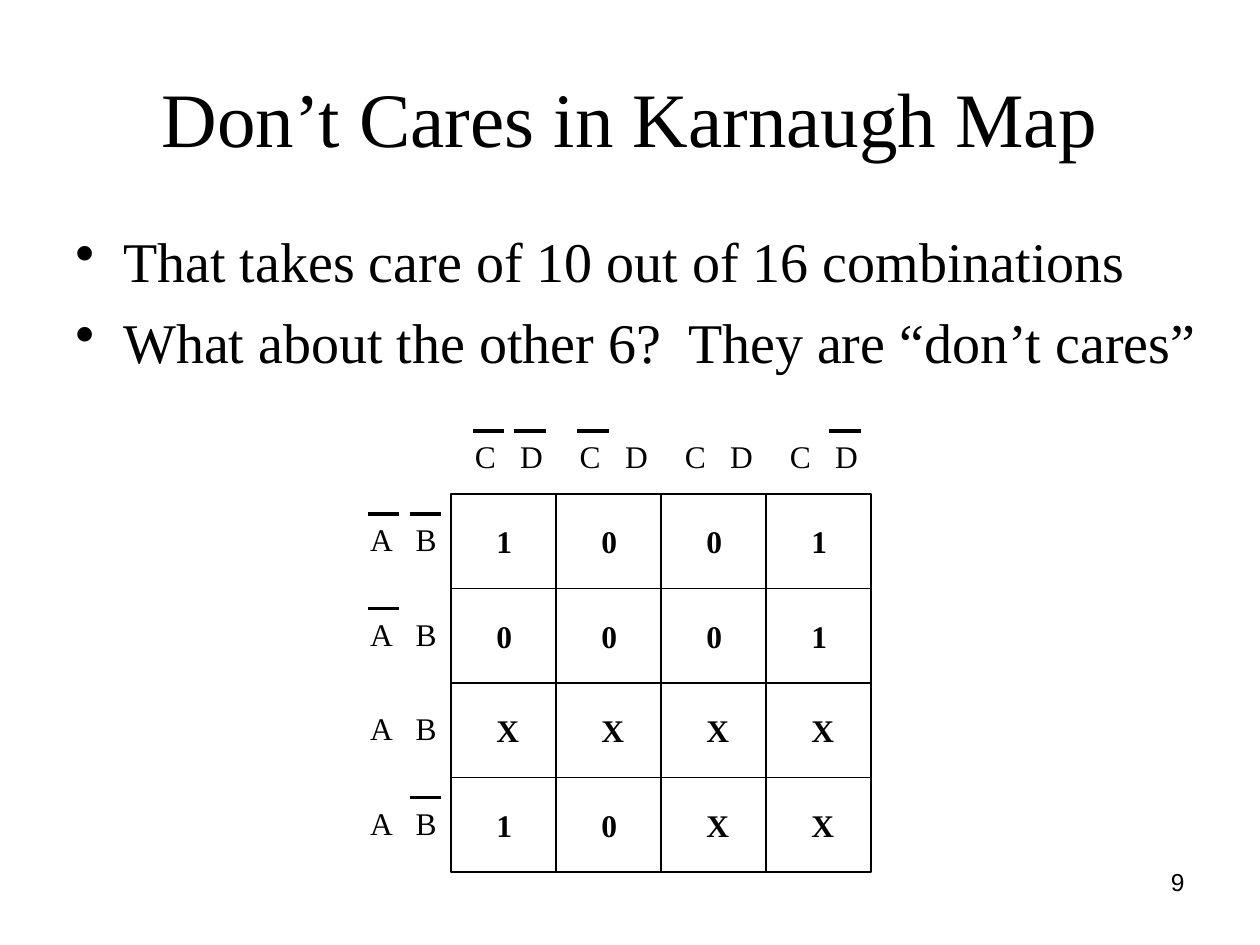
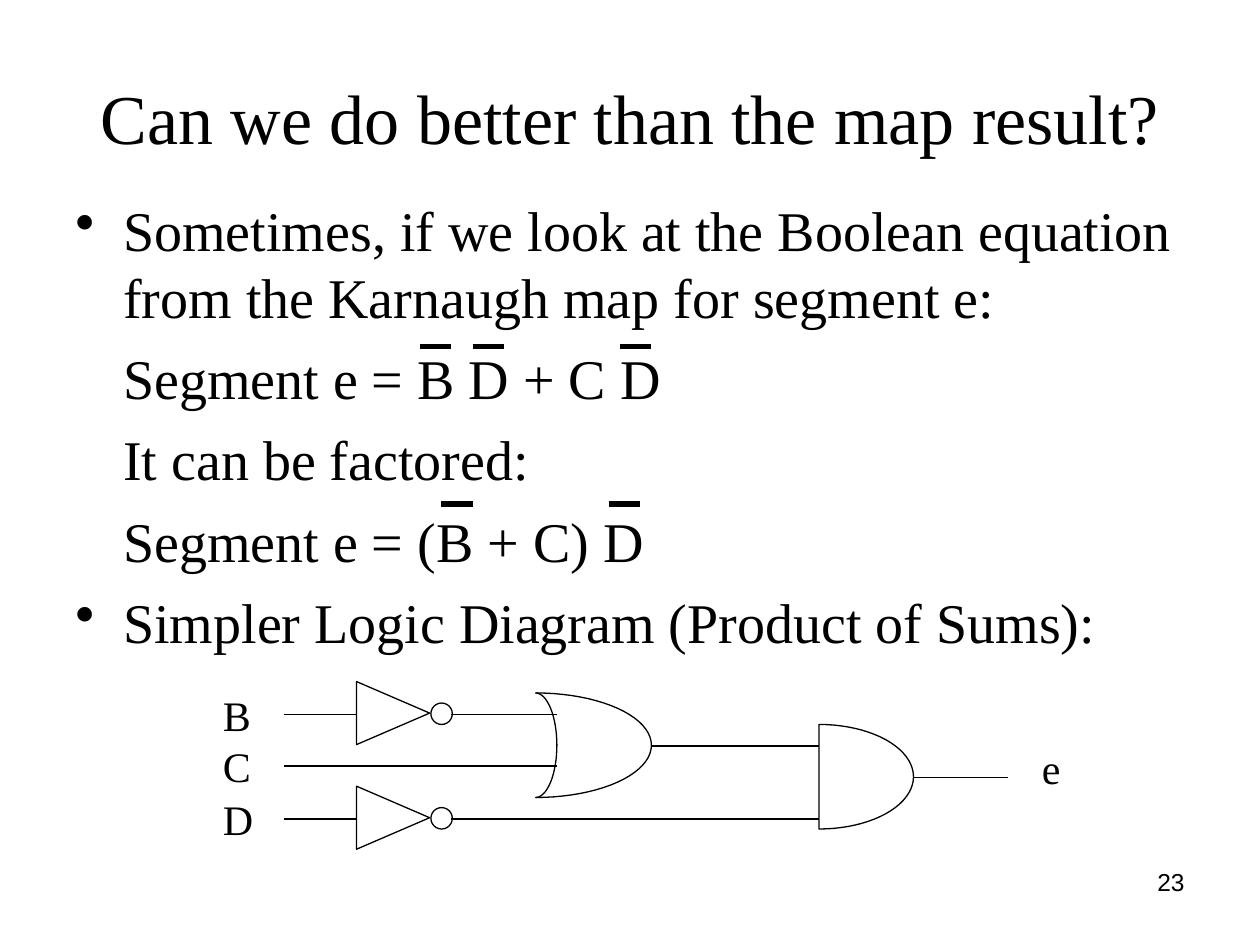
import math
from dataclasses import dataclass

import pptx
import pptx.dml.color
import pptx.enum.shapes
import pptx.enum.text
import pptx.oxml.ns
import pptx.util
from lxml import etree

Inches, Pt = pptx.util.Inches, pptx.util.Pt
qn = pptx.oxml.ns.qn
SHAPE = pptx.enum.shapes.MSO_SHAPE
ALIGN = pptx.enum.text.PP_ALIGN
ANCHOR = pptx.enum.text.MSO_ANCHOR


@dataclass(frozen=True)
class Theme:
    ink: pptx.dml.color.RGBColor = pptx.dml.color.RGBColor(0, 0, 0)
    serif: str = "Times New Roman"
    sans: str = "Arial"
    title: int = 44
    long_title: int = 40
    body: int = 32
    signal: int = 24
    label: int = 18
    number: int = 14
    thin: float = 0.75
    bar: float = 2
    heavy_bar: float = 3


class Deck:
    def __init__(self, theme):
        self.theme = theme
        self.prs = pptx.Presentation()
        self.prs.slide_width, self.prs.slide_height = Inches(10), Inches(7.5)
        self.s = None

    def slide(self, title, number, size):
        """Start a slide with its title and page number."""
        self.s = self.prs.slides.add_slide(self.prs.slide_layouts[6])
        self.text(7.17, 6.83, 2.33, 0.52, str(number), self.theme.number,
                  align=ALIGN.RIGHT, name=self.theme.sans)
        self.text(0.5, 0.3, 9, 1.25, title, size,
                  align=ALIGN.CENTER, anchor=ANCHOR.MIDDLE)

    def add_words(self, p, words, size, **font):
        r = p.add_run()
        r.text = words
        formats = {"size": Pt(size), "name": self.theme.serif, **font}
        for key, value in formats.items():
            setattr(r.font, key, value)
        r.font.color.rgb = self.theme.ink

    def text(self, x, y, w, h, words, size, align=ALIGN.LEFT,
             anchor=ANCHOR.TOP, tab=None, **font):
        tf = self.s.shapes.add_textbox(
            Inches(x), Inches(y), Inches(w), Inches(h)).text_frame
        tf.word_wrap, tf.vertical_anchor = True, anchor
        p = tf.paragraphs[0]
        p.alignment = align
        if tab:
            tabs = etree.SubElement(p._p.get_or_add_pPr(), qn("a:tabLst"))
            etree.SubElement(tabs, qn("a:tab"), pos=str(Inches(tab)), algn="l")
        self.add_words(p, words, size, **font)

    def body(self, y, w, items):
        """Add (has_bullet, words) paragraphs that share one left edge."""
        tf = self.s.shapes.add_textbox(
            Inches(0.5), Inches(y), Inches(w), Inches(4.95)).text_frame
        tf.word_wrap = True
        for i, (has_bullet, words) in enumerate(items):
            p = tf.add_paragraph() if i else tf.paragraphs[0]
            if i:
                p.space_before = Pt(8)
            pPr = p._p.get_or_add_pPr()
            pPr.set("marL", str(Inches(0.38)))
            pPr.set("indent", str(Inches(-0.38 if has_bullet else 0)))
            if has_bullet:
                etree.SubElement(pPr, qn("a:buChar"), char="•")
            else:
                etree.SubElement(pPr, qn("a:buNone"))
            self.add_words(p, words, self.theme.body)

    def outline(self, sp):
        sp.shadow.inherit = False
        sp.fill.background()
        sp.line.color.rgb = self.theme.ink
        sp.line.width = Pt(self.theme.thin)
        return sp

    def shape(self, kind, x, y, w, h, rotation=0):
        sp = self.outline(self.s.shapes.add_shape(
            kind, Inches(x), Inches(y), Inches(w), Inches(h)))
        sp.rotation = rotation
        return sp

    def cell(self, x, y, w, h, value):
        tf = self.shape(SHAPE.RECTANGLE, x, y, w, h).text_frame
        tf.vertical_anchor = ANCHOR.MIDDLE
        tf.margin_left, tf.margin_right = Inches(0.36), 0
        tf.paragraphs[0].alignment = ALIGN.LEFT
        self.add_words(tf.paragraphs[0], value, self.theme.label, bold=True)

    def line(self, x, y, x2, width=None):
        """Draw a horizontal line from x to x2."""
        cx = self.s.shapes.add_connector(
            pptx.enum.shapes.MSO_CONNECTOR.STRAIGHT,
            Inches(x), Inches(y), Inches(x2), Inches(y))
        cx.line.color.rgb = self.theme.ink
        cx.line.width = Pt(width or self.theme.thin)
        etree.SubElement(cx._element.spPr, qn("a:effectLst"))

    def half_ellipse(self, x, y, w, h, close=False):
        """Draw the right half of an ellipse whose flat side starts at x, y."""
        steps = 40
        angles = [math.pi * i / steps - math.pi / 2 for i in range(steps + 1)]
        points = [(Inches(x + w * math.cos(a)),
                   Inches(y + h / 2 * (1 + math.sin(a)))) for a in angles]
        fb = self.s.shapes.build_freeform(*points[0])
        fb.add_line_segments(points[1:], close=close)
        self.outline(fb.convert_to_shape())

    def inverter(self, y):
        """Draw a NOT gate centred on the wire at height y."""
        self.shape(SHAPE.ISOSCELES_TRIANGLE, 2.87, y - 0.3, 0.5, 0.58, 90)
        self.shape(SHAPE.OVAL, 3.42, y - 0.09, 0.17, 0.17)

    def map_label(self, x, y, letters, negated):
        """Set two variables side by side, with a bar over each negated one."""
        self.text(x, y, 0.8, 0.4, "\t".join(letters), self.theme.label, tab=0.36)
        for i, letter in enumerate(letters):
            if letter in negated:
                bar_x = x + 0.08 + i / 3
                self.line(bar_x, y, bar_x + 0.25, self.theme.bar)


def karnaugh_slide(d):
    d.slide("Don’t Cares in Karnaugh Map", 9, d.theme.title)
    d.body(1.75, 9.25, [
        (True, "That takes care of 10 out of 16 combinations"),
        (True, "What about the other 6?  They are “don’t cares”"),
    ])
    left, top, cell_w, cell_h = 3.58, 3.92, 5 / 6, 0.75
    for row, values in enumerate(["1001", "0001", "XXXX", "10XX"]):
        for col, value in enumerate(values):
            d.cell(left + col * cell_w, top + row * cell_h, cell_w, cell_h, value)
    for row, negated in enumerate(["AB", "A", "", "B"]):
        d.map_label(2.84, 4.08 + row * cell_h, "AB", negated)
    for col, negated in enumerate(["CD", "C", "", "D"]):
        d.map_label(3.67 + col * cell_w, 3.42, "CD", negated)


def factored_slide(d):
    d.slide("Can we do better than the map result?", 23, d.theme.long_title)
    d.body(1.5, 9, [
        (True, "Sometimes, if we look at the Boolean equation "
               "from the Karnaugh map for segment e:"),
        (False, "Segment e = B D + C D"),
        (False, "It can be factored:"),
        (False, "Segment e = (B + C) D"),
        (True, "Simpler Logic Diagram (Product of Sums):"),
    ])
    for y, starts in [(2.75, (3.33, 3.75, 4.92)), (4, (3.5, 4.83))]:
        for x in starts:
            d.line(x, y, x + 0.25, d.theme.heavy_bar)

    b, c, d_in, or_out, and_out = 5.67, 6.08, 6.5, 5.92, 6.17
    for name, y in zip("BCD", (b, c, d_in)):
        d.text(1.67, y - 0.25, 0.5, 0.5, name, d.theme.signal)
    d.text(8.17, and_out - 0.33, 0.4, 0.5, "e", d.theme.signal)
    for y in (b, d_in):
        d.inverter(y)
    for depth in (0.92, 0.17):
        d.half_ellipse(4.25, 5.5, depth, 0.83)
    d.half_ellipse(6.5, 5.75, 0.75, 0.83, close=True)
    for x, y, x2 in [(2.25, b, 2.83), (3.58, b, 4.42), (2.25, c, 4.42),
                     (2.25, d_in, 2.83), (3.58, d_in, 6.5),
                     (5.17, or_out, 6.5), (7.25, and_out, 8)]:
        d.line(x, y, x2)


def main():
    d = Deck(Theme())
    karnaugh_slide(d)
    factored_slide(d)
    d.prs.save("out.pptx")


if __name__ == "__main__":
    main()
